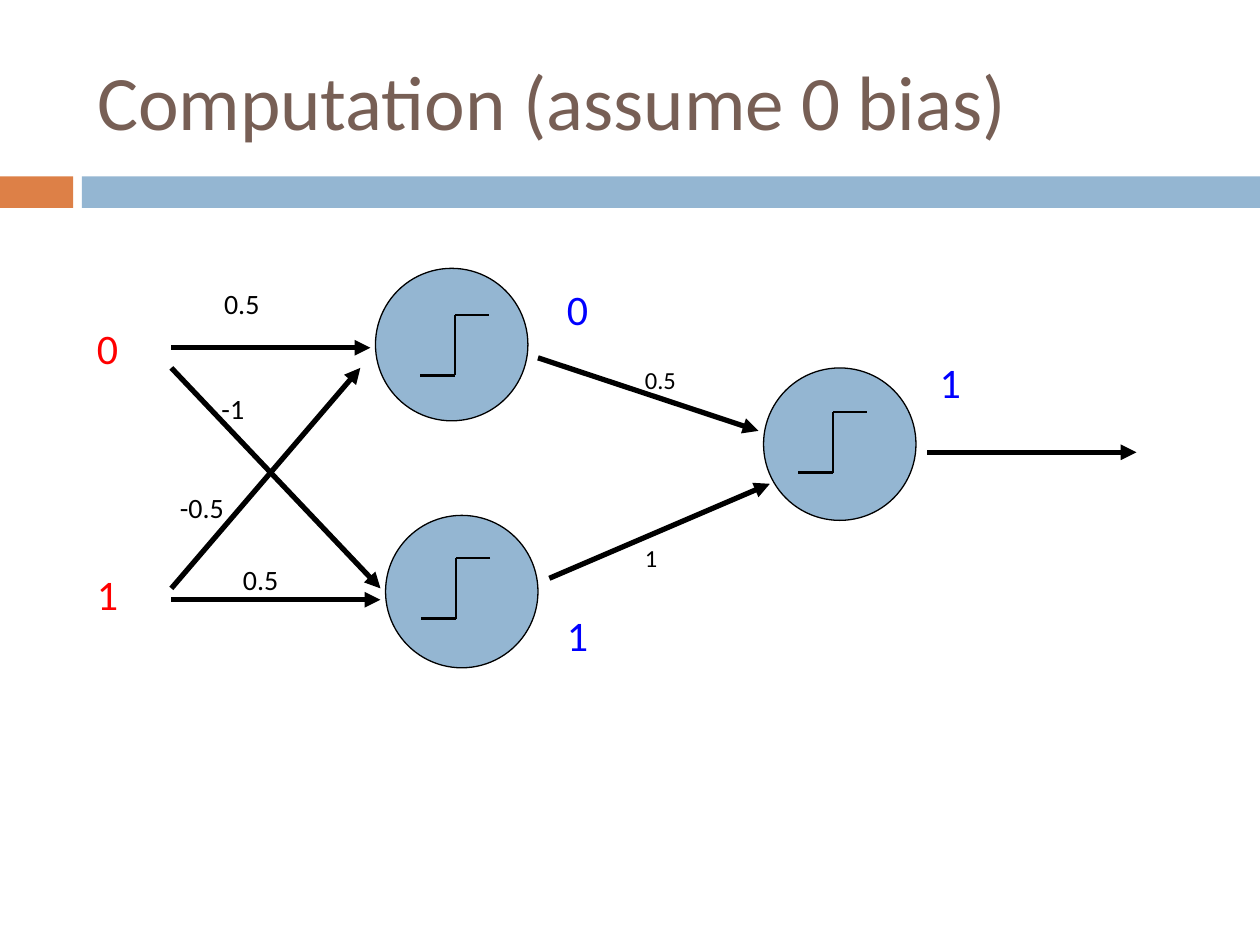
from lxml import etree
from pptx import Presentation
from pptx.dml.color import RGBColor
from pptx.enum.shapes import MSO_CONNECTOR, MSO_SHAPE
from pptx.enum.text import MSO_ANCHOR, PP_ALIGN
from pptx.oxml.ns import qn
from pptx.util import Inches, Pt

STRAIGHT = MSO_CONNECTOR.STRAIGHT
RECT, OVAL = MSO_SHAPE.RECTANGLE, MSO_SHAPE.OVAL
MIDDLE, BOTTOM = MSO_ANCHOR.MIDDLE, MSO_ANCHOR.BOTTOM
LEFT = PP_ALIGN.LEFT

FONT = "Calibri"
BLACK, RED, BLUE = "000000", "FF0000", "0000FF"
ORANGE, SKY, BROWN = "DD8047", "94B6D2", "775F55"
NEURON = 1.21

NEURONS = [
    ((2.98, 2.13), (3.33, 2.5)),
    ((6.06, 2.92), (6.33, 3.27)),
    ((3.06, 4.09), (3.34, 4.43)),
]
ARROWS = [
    ((1.36, 2.76), (2.94, 2.76)),
    ((1.36, 2.92), (3.02, 4.67)),
    ((1.36, 4.76), (3.02, 4.76)),
    ((1.36, 4.67), (2.86, 2.92)),
    ((4.27, 2.84), (6.02, 3.42)),
    ((4.36, 4.59), (6.11, 3.84)),
    ((7.36, 3.59), (9.02, 3.59)),
]
VALUES = [
    ("0", (0.67, 2.5, 1.25, 0.51), RED),
    ("1", (0.67, 4.45, 1.25, 0.51), RED),
    ("0", (4.4, 2.19, 1.25, 0.51), BLUE),
    ("1", (4.4, 4.78, 1.25, 0.51), BLUE),
    ("1", (7.36, 2.77, 1.25, 0.51), BLUE),
]
WEIGHTS = [
    ("0.5", (1.68, 2.15, 0.65, 0.44), 16),
    ("-1", (1.66, 2.98, 1.5, 0.44), 16),
    ("-0.5", (1.33, 3.84, 1.5, 0.37), 16),
    ("0.5", (1.83, 4.41, 1.5, 0.37), 16),
    ("0.5", (5.02, 2.84, 1.5, 0.34), 14),
    ("1", (5.02, 4.26, 1.5, 0.33), 14),
]


def rgb(value):
    """Return the colour for a hex string."""
    return RGBColor.from_string(value)


def inches(values):
    """Convert numbers to lengths."""
    return [Inches(v) for v in values]


def write(shape, text, size, color, anchor):
    """Put one formatted line of text in a shape."""
    tf = shape.text_frame
    tf.word_wrap = True
    tf.vertical_anchor = anchor
    p = tf.paragraphs[0]
    p.alignment = LEFT
    r = p.add_run()
    r.text = text
    for name, value in {"name": FONT, "size": Pt(size)}.items():
        setattr(r.font, name, value)
    r.font.color.rgb = rgb(color)


def add_label(s, text, box, size, color):
    """Add a text box resting on the bottom of its box."""
    write(s.shapes.add_textbox(*inches(box)), text, size, color, BOTTOM)


def add_filled(s, kind, box, fill, outline=None):
    """Add a filled preset shape with an optional thin outline."""
    sp = s.shapes.add_shape(kind, *inches(box))
    sp.shadow.inherit = False
    sp.fill.solid()
    sp.fill.fore_color.rgb = rgb(fill)
    if outline:
        sp.line.color.rgb = rgb(outline)
        sp.line.width = Pt(0.75)
    else:
        sp.line.fill.background()


def add_line(shapes, start, end, width, arrow=False):
    """Draw a black line, with an arrowhead at its end if asked."""
    line = shapes.add_connector(STRAIGHT, *inches(start + end))
    line.line.color.rgb = rgb(BLACK)
    line.line.width = Pt(width)
    if arrow:
        etree.SubElement(line.line._get_or_add_ln(), qn("a:tailEnd"), type="triangle")
    etree.SubElement(line._element.spPr, qn("a:effectLst"))


def add_neuron(s, corner, step):
    """Draw a circle with a grouped step function inside."""
    add_filled(s, OVAL, corner + (NEURON, NEURON), SKY, BLACK)
    x, y = step
    points = [(x + 0.55, y), (x + 0.28, y), (x + 0.28, y + 0.48), (x, y + 0.48)]
    group = s.shapes.add_group_shape()
    for start, end in zip(points, points[1:]):
        add_line(group.shapes, start, end, 1.5)


def add_header(s, text, box):
    """Place the title and the two bars below it."""
    title = s.shapes.title
    frame = dict(zip(("left", "top", "width", "height"), inches(box)))
    for name, value in frame.items():
        setattr(title, name, value)
    write(title, text, 44, BROWN, MIDDLE)
    add_filled(s, RECT, (0, 1.4, 0.58, 0.25), ORANGE)
    add_filled(s, RECT, (0.65, 1.4, 9.35, 0.25), SKY)


def add_network(s):
    """Draw the neurons, arrows, weights and values."""
    for corner, step in NEURONS:
        add_neuron(s, corner, step)
    for start, end in ARROWS:
        add_line(s.shapes, start, end, 3, arrow=True)
    for text, box, size in WEIGHTS:
        add_label(s, text, box, size, BLACK)
    for text, box, color in VALUES:
        add_label(s, text, box, 24, color)


def main():
    """Build and save the slide."""
    prs = Presentation()
    prs.slide_width, prs.slide_height = Inches(10), Inches(7.5)
    s = prs.slides.add_slide(prs.slide_layouts[5])
    add_header(s, "Computation (assume 0 bias)", (0.67, 0.25, 8.92, 1.08))
    add_network(s)
    prs.save("out.pptx")


if __name__ == "__main__":
    main()
